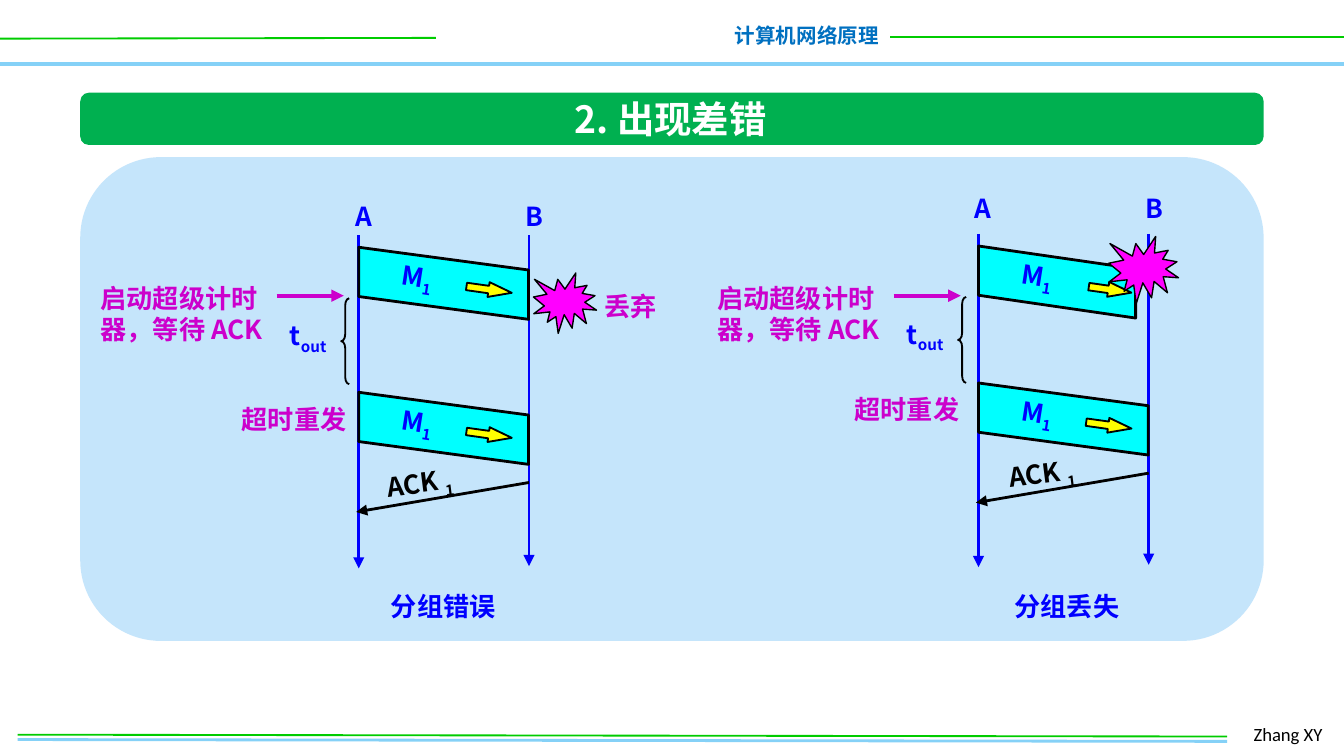
from dataclasses import dataclass
from lxml.etree import SubElement
from pptx import Presentation
from pptx.dml.color import RGBColor as Color
from pptx.enum.shapes import MSO_CONNECTOR as Connector, MSO_SHAPE as Preset
from pptx.enum.text import MSO_ANCHOR as Anchor, PP_ALIGN as Align
from pptx.oxml.ns import qn
from pptx.util import Pt


@dataclass(frozen=True)
class Theme:
    font: str = "Noto Sans CJK SC"
    latin: str = "Calibri"
    blue: str = "0000FF"
    header: str = "0070C0"
    sky: str = "85D1F7"
    green: str = "00CC00"
    bar: str = "00B050"
    panel: str = "C5E5FB"
    cyan: str = "00FFFF"
    yellow: str = "FFFF00"
    pink: str = "FF00FF"
    purple: str = "CC00CC"
    black: str = "000000"
    white: str = "FFFFFF"
    title_size: int = 20
    body_size: int = 14
    header_size: int = 11
    footer_size: int = 10


class Sketch:
    """Holds the theme and the current slide; all lengths are points."""

    def __init__(self, slide, theme):
        self.slide, self.theme = slide, theme
        self.shapes = slide.shapes

    def paint(self, shape, fill=None, line=None, weight=1):
        shape.shadow.inherit = False
        if fill:
            shape.fill.solid()
            shape.fill.fore_color.rgb = Color.from_string(fill)
        else:
            shape.fill.background()
        if line:
            shape.line.color.rgb = Color.from_string(line)
            shape.line.width = Pt(weight)
        else:
            shape.line.fill.background()

    def shape(self, preset, left, top, width, height, adjust=(), turn=0, **look):
        shape = self.shapes.add_shape(preset, Pt(left), Pt(top), Pt(width), Pt(height))
        for index, value in enumerate(adjust):
            shape.adjustments[index] = value
        shape.rotation = turn
        self.paint(shape, **look)

    def outline(self, points, **look):
        start, *rest = [(Pt(x), Pt(y)) for x, y in points]
        builder = self.shapes.build_freeform(*start)
        builder.add_line_segments(rest, close=True)
        self.paint(builder.convert_to_shape(), **look)

    def line(self, start, end, color, weight, arrow=False):
        line = self.shapes.add_connector(
            Connector.STRAIGHT, *[Pt(value) for value in (*start, *end)])
        line.line.color.rgb = Color.from_string(color)
        line.line.width = Pt(weight)
        if arrow:
            SubElement(line.line._get_or_add_ln(), qn("a:tailEnd"), type="triangle")
        SubElement(line._element.spPr, qn("a:effectLst"))

    def fill_text(self, frame, text, color, size, font, bold, align, sub=""):
        frame.vertical_anchor = Anchor.MIDDLE
        para = frame.paragraphs[0]
        para.alignment = align
        style = para.font
        style.size, style.bold, style.name = Pt(size), bold, font
        style.color.rgb = Color.from_string(color)
        SubElement(style._element, qn("a:ea"), typeface=font)
        para.add_run().text = text
        if sub:
            span = para.add_run()
            span.text = sub
            span.font._element.set("baseline", "-25000")
        return para

    def text(self, text, left, top, width, height, color, size=None, font=None,
             bold=True, align=Align.LEFT, sub="", turn=0, pitch=None):
        box = self.shapes.add_textbox(Pt(left), Pt(top), Pt(width), Pt(height))
        box.rotation = turn
        box.text_frame.word_wrap = pitch is not None
        para = self.fill_text(box.text_frame, text, color, size or self.theme.body_size,
                              font or self.theme.font, bold, align, sub)
        if pitch:
            para.line_spacing = Pt(pitch)

    def title(self, text, left, top, width, height):
        title = self.shapes.title
        title.left, title.top = Pt(left), Pt(top)
        title.width, title.height = Pt(width), Pt(height)
        frame = title.text_frame
        frame.margin_left = frame.margin_right = 0
        frame.word_wrap = False
        self.fill_text(frame, text, self.theme.white, self.theme.title_size,
                       self.theme.font, True, Align.CENTER)
        # Bring the title in front of its bar
        title._element.getparent().append(title._element)

    def packet(self, left, top, width=91, arrow=(57.6, 18.7, 24.5)):
        theme = self.theme
        drop, depth = 12.2, 26.4
        right = left + width
        self.outline([(left, top), (right, top + drop), (right, top + drop + depth),
                      (left, top + depth)], fill=theme.cyan, line=theme.black, weight=1.5)
        shift, down, length = arrow
        self.shape(Preset.RIGHT_ARROW, left + shift, top + down, length, 8,
                   (0.5, 1.565), 8, fill=theme.yellow, line=theme.black)
        self.text("M", left + 15.8, top + 5.4, 34.6, 23.8, theme.blue, sub="1", turn=9)

    def burst(self, left, top, width, height):
        self.shape(Preset.EXPLOSION1, left, top, width, height,
                   fill=self.theme.pink, line=self.theme.black, weight=0.75)

    def timer(self, left, top):
        """Time-out brace and note, placed from the sender's line."""
        theme = self.theme
        self.shape(Preset.LEFT_BRACE, left - 9.4, top, 4.3, 46, (0.869, 0.5),
                   line=theme.black)
        self.text("t", left - 44, top + 8.7, 36.7, 24.5, theme.blue, sub="out")
        self.text("启动超级计时器，等待 ACK", left - 145.4, 147.6, 111, 41,
                  theme.purple, pitch=16.8)
        self.line((left - 44, 158.4), (left - 8, 158.4), theme.purple, 2.25, True)

    def exchange(self, left, top, label_top, resend_top, timer_left, resend_left,
                 ack_shift, caption, caption_left, **first):
        theme = self.theme
        right = left + 91.2
        # Time lines of both stations
        for name, x, bottom in (("A", left, 178.5), ("B", right, 177.3)):
            self.line((x, top), (x, top + bottom), theme.blue, 1.5, True)
            self.text(name, x - 9, label_top, 24.5, 23.8, theme.blue)
        # First packet and its repeat
        self.packet(left, top + 6.5, **first)
        self.packet(left, resend_top)
        self.text("超时重发", resend_left, resend_top + 1.8, 71.3, 24.5, theme.purple)
        # Acknowledgement
        self.line((right, resend_top + 48.3), (left - 1.4, resend_top + 64.1),
                  theme.black, 1.5, True)
        self.text("ACK ", left + ack_shift, resend_top + 37, 54, 24.5, theme.black,
                  sub="1", turn=352.8)
        self.timer(timer_left, top + 33.8)
        self.text(caption, caption_left, 312.5, 71.3, 24.5, theme.blue)


def main():
    deck = Presentation()
    deck.slide_width, deck.slide_height = Pt(720), Pt(405)
    theme = Theme()
    page = Sketch(deck.slides.add_slide(deck.slide_layouts[5]), theme)

    # Header and footer
    page.line((0, 34.3), (720, 34.3), theme.sky, 2)
    page.line((0, 20.7), (233.5, 20.3), theme.green, 1)
    page.line((477, 19.8), (720, 19.8), theme.green, 1)
    page.text("计算机网络原理", 386, 8.6, 92, 21, theme.header, theme.header_size,
              align=Align.RIGHT)
    page.line((9.4, 396.2), (657.4, 397.2), theme.sky, 1.5)
    page.line((9.4, 393.6), (657.4, 394.6), theme.green, 1)
    page.text("Zhang XY", 664.5, 383.8, 53.3, 19.4, theme.black, theme.footer_size,
              theme.latin, bold=False)

    # Title bar and panel
    page.shape(Preset.ROUNDED_RECTANGLE, 43, 49.7, 634, 28, (0.167,), fill=theme.bar)
    page.title("2. 出现差错", 299.5, 47.5, 119.5, 31.7)
    page.shape(Preset.ROUNDED_RECTANGLE, 43, 84.2, 634, 259.2, fill=theme.panel)

    # Left: damaged packet is discarded
    page.exchange(192.2, 126, 103.7, 210.2, 192.2, 122.4, 8, "分组错误", 202.3)
    page.text("丢弃", 316.8, 151.9, 42.5, 23.8, theme.purple, align=Align.CENTER)
    page.burst(285.8, 146.2, 33.8, 32.4)

    # Right: packet is lost on the way
    page.exchange(524.2, 125.3, 99.4, 205.2, 522.7, 450.7, 9.4, "分组丢失", 536.4,
                  width=84.2, arrow=(59, 19.4, 23))
    page.burst(594, 126.7, 37.4, 36)

    deck.save("out.pptx")


if __name__ == "__main__":
    main()
